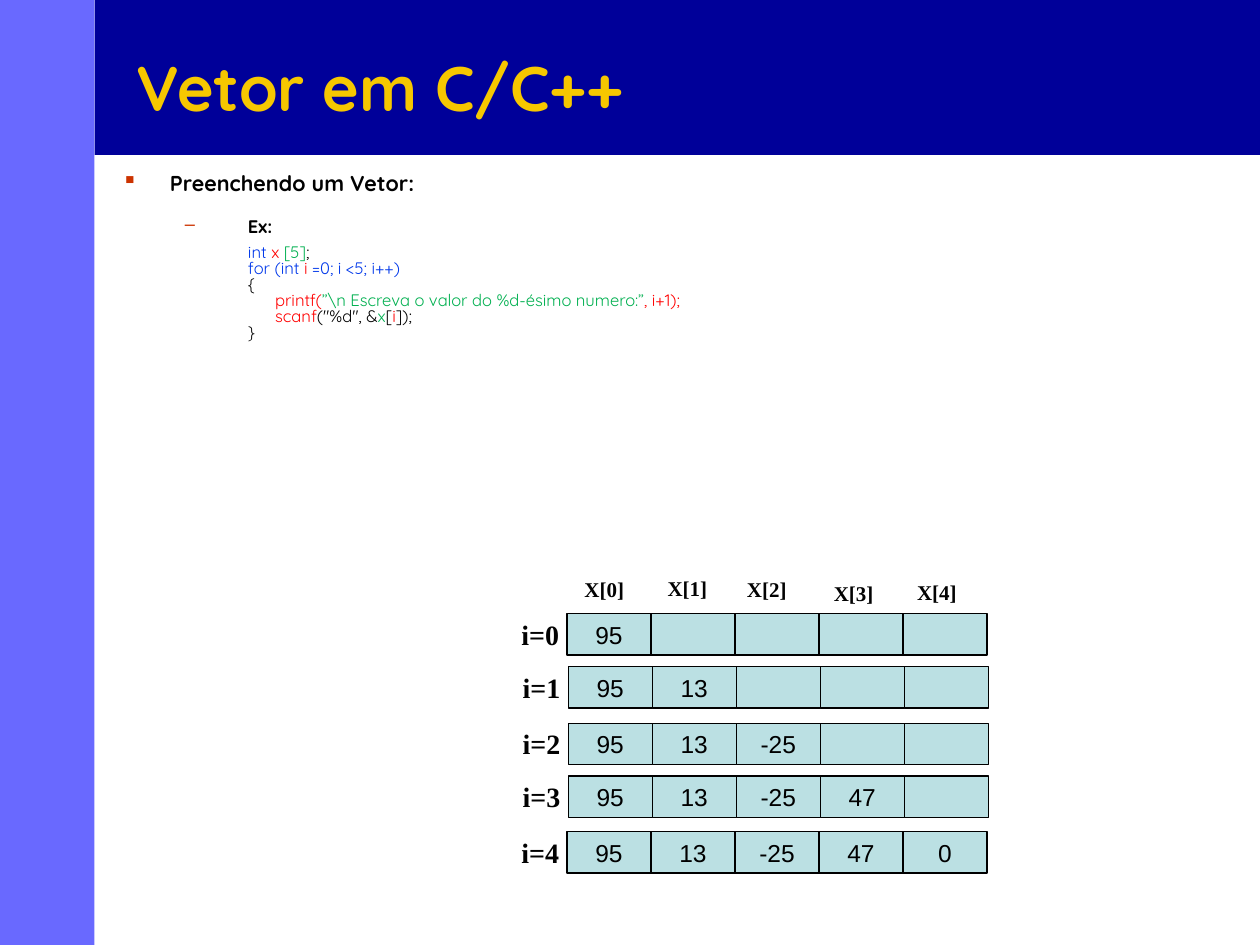
from dataclasses import dataclass

import pptx
import pptx.dml.color
import pptx.enum.shapes
import pptx.enum.text
import pptx.oxml.ns
import pptx.util
from lxml import etree

Inches = pptx.util.Inches
Pt = pptx.util.Pt
ALIGN = pptx.enum.text.PP_ALIGN
ANCHOR = pptx.enum.text.MSO_ANCHOR

COLORS = {
    "header": "000099", "sidebar": "6969FF", "title": "F6C700",
    "black": "000000", "label": "020202", "cell": "BBE0E3",
    "bullet": "CC3300", "blue": "0038EA", "red": "FF0000", "green": "00B050",
}


@dataclass
class BodyLine:
    runs: list[tuple[str, str]]  # text and colour name
    size: float = 9.5
    bold: bool = False
    bullet: str = ""
    margin: float = 1.0
    hanging: float = 0.0
    before: float = 0.0


@dataclass
class VectorRow:
    left: float
    top: float
    values: list[str]


@dataclass
class IndexLabel:
    left: float
    top: float


BODY = [
    BodyLine([("Preenchendo um Vetor:", "black")], 12.3, True, "▪", 0.38, 0.38),
    BodyLine([("Ex:", "black")], 10.4, True, "–", 1.0, 0.5, 13.8),
    BodyLine([("int ", "blue"), ("x ", "red"), ("[5]", "green"), (";", "black")],
             before=5),
    BodyLine([("for (int ", "blue"), ("i", "red"), (" =0; i <5; i++)", "blue")]),
    BodyLine([("{", "black")]),
    BodyLine([("      printf(", "red"),
              ("”\\n Escreva o valor do %d-ésimo numero:”", "green"),
              (", i+1);", "red")]),
    BodyLine([("      scanf", "red"), ("(\"%d\", &", "black"), ("x", "green"),
              ("[", "black"), ("i", "red"), ("]);", "black")]),
    BodyLine([("}", "black")]),
]

VALUES = ["95", "13", "-25", "47", "0"]
ROW_ORIGINS = [(4.5, 4.87), (4.51, 5.29), (4.51, 5.74), (4.51, 6.16), (4.5, 6.6)]
VECTOR_ROWS = [VectorRow(left, top, VALUES[:i + 1])
               for i, (left, top) in enumerate(ROW_ORIGINS)]
INDEX_LABELS = [IndexLabel(4.54, 4.53), IndexLabel(5.2, 4.52), IndexLabel(5.83, 4.53),
                IndexLabel(6.52, 4.56), IndexLabel(7.18, 4.55)]
CELL_WIDTH, CELL_HEIGHT = 2 / 3, 0.33


def color(name: str) -> pptx.dml.color.RGBColor:
    return pptx.dml.color.RGBColor.from_string(COLORS[name])


def format_run(run, font: str, size: float, color_name: str, bold: bool = False) -> None:
    run.font.name = font
    run.font.size = Pt(size)
    run.font.bold = bold
    run.font.color.rgb = color(color_name)


def add_rectangle(slide, left: float, top: float, width: float, height: float,
                  fill: str):
    rectangle = slide.shapes.add_shape(
        pptx.enum.shapes.MSO_SHAPE.RECTANGLE,
        Inches(left), Inches(top), Inches(width), Inches(height))
    rectangle.shadow.inherit = False
    rectangle.fill.solid()
    rectangle.fill.fore_color.rgb = color(fill)
    rectangle.line.fill.background()
    return rectangle


def add_label(slide, text: str, left: float, top: float, width: float,
              height: float, size: float) -> None:
    label = slide.shapes.add_textbox(
        Inches(left), Inches(top), Inches(width), Inches(height))
    label.text_frame.word_wrap = True
    label.text_frame.text = text
    format_run(label.text_frame.paragraphs[0].runs[0],
               "Times New Roman", size, "label", True)


def add_body_line(paragraph, line: BodyLine) -> None:
    properties = paragraph._p.get_or_add_pPr()
    properties.set("marL", str(Inches(line.margin)))
    properties.set("indent", str(-Inches(line.hanging)))
    if line.bullet:
        qn = pptx.oxml.ns.qn
        bullet_color = etree.SubElement(properties, qn("a:buClr"))
        etree.SubElement(bullet_color, qn("a:srgbClr"), val=COLORS["bullet"])
        etree.SubElement(properties, qn("a:buChar"), char=line.bullet)
    paragraph.alignment = ALIGN.JUSTIFY
    paragraph.line_spacing = 0.8
    if line.before:
        paragraph.space_before = Pt(line.before)
    for text, color_name in line.runs:
        run = paragraph.add_run()
        run.text = text
        format_run(run, "Quicksand", line.size, color_name, line.bold)


def add_vector_row(slide, index: int, row: VectorRow) -> None:
    for column in range(len(VALUES)):
        cell = add_rectangle(slide, row.left + column * CELL_WIDTH, row.top,
                             CELL_WIDTH, CELL_HEIGHT, "cell")
        cell.line.color.rgb = color("black")
        cell.line.width = Pt(0.75)
        if column < len(row.values):
            frame = cell.text_frame
            frame.word_wrap = False
            frame.vertical_anchor = ANCHOR.MIDDLE
            frame.text = row.values[column]
            frame.paragraphs[0].alignment = ALIGN.CENTER
            format_run(frame.paragraphs[0].runs[0], "Arial", 14, "black")
    add_label(slide, f"i={index}", row.left - 0.46, row.top - 0.02, 0.57, 0.37, 16)


def main() -> None:
    presentation = pptx.Presentation()
    presentation.slide_width = Inches(10)
    presentation.slide_height = Inches(7.5)
    slide = presentation.slides.add_slide(presentation.slide_layouts[5])

    # Title, with the coloured bands behind it
    title = slide.shapes.title
    title.left, title.top = Inches(0.98), Inches(0.3)
    title.width, title.height = Inches(8.52), Inches(0.77)
    title.text_frame.text = "Vetor em C/C++"
    title.text_frame.auto_size = pptx.enum.text.MSO_AUTO_SIZE.NONE
    title.text_frame.vertical_anchor = ANCHOR.MIDDLE
    title.text_frame.paragraphs[0].alignment = ALIGN.LEFT
    format_run(title.text_frame.paragraphs[0].runs[0], "Quicksand", 36, "title", True)
    header = add_rectangle(slide, 0.75, 0, 9.25, 1.23, "header")
    sidebar = add_rectangle(slide, 0, 0, 0.75, 7.5, "sidebar")
    for band in (header, sidebar):
        title.element.addprevious(band.element)

    # Heading and code example
    body = slide.shapes.add_textbox(
        Inches(0.87), Inches(1.34), Inches(9.17), Inches(1.62)).text_frame
    body.word_wrap = True
    for number, line in enumerate(BODY):
        paragraph = body.add_paragraph() if number else body.paragraphs[0]
        add_body_line(paragraph, line)

    # Vector contents after each pass of the loop
    for index, label in enumerate(INDEX_LABELS):
        add_label(slide, f"X[{index}]", label.left, label.top, 0.53, 0.3, 12)
    for index, row in enumerate(VECTOR_ROWS):
        add_vector_row(slide, index, row)

    presentation.save("out.pptx")


if __name__ == "__main__":
    main()
